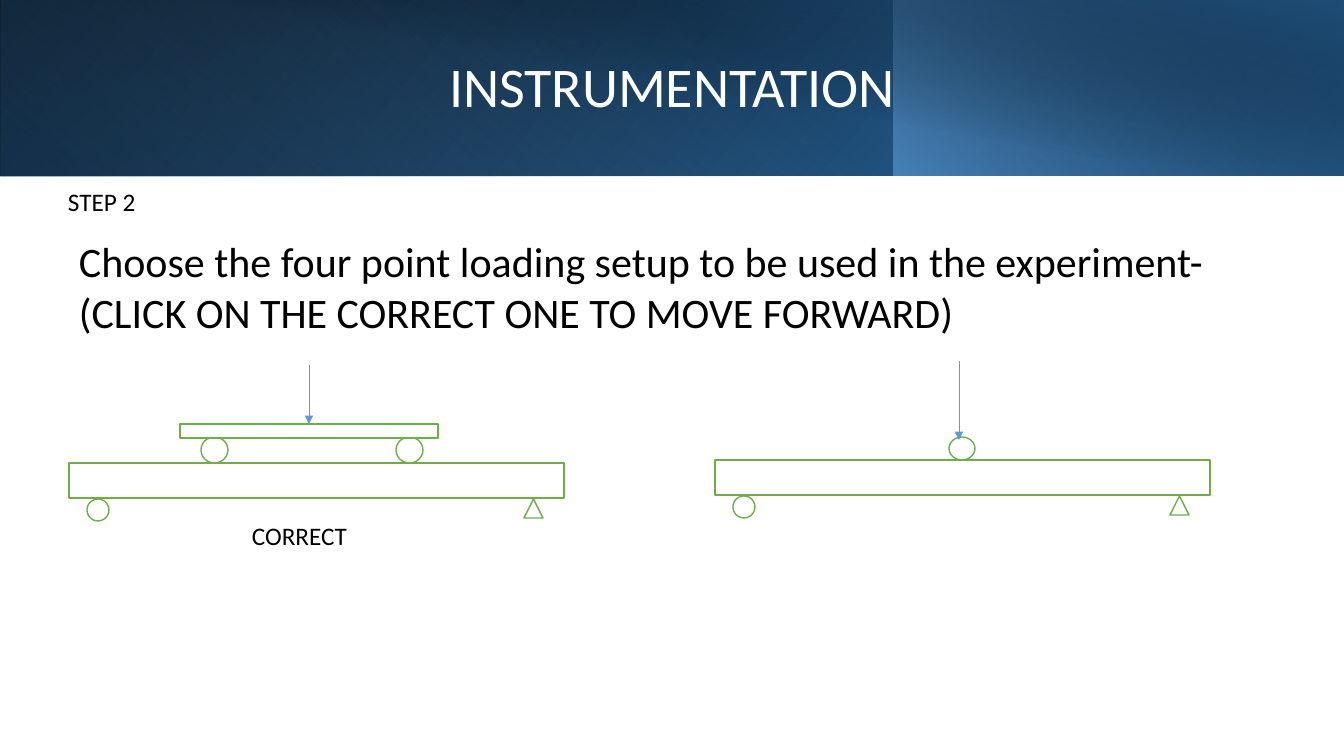
from lxml import etree
from pptx import Presentation
from pptx import util as u
from pptx.dml.color import RGBColor
from pptx.enum import shapes, text
from pptx.oxml import ns

PX = 914400 / 100.8
WIDTH, HEIGHT = 1344, 756
FONT = "Calibri"


def px(*lengths):
    return [u.Emu(round(length * PX)) for length in lengths]


def colour(code):
    return RGBColor.from_string(code)


def add_element(parent, tag, **attributes):
    values = {key: str(value) for key, value in attributes.items()}
    return etree.SubElement(parent, ns.qn(tag), values)


def add_panel(slide, box, stops, angle, flip=True, rotation=0):
    panel = slide.shapes.add_shape(shapes.MSO_SHAPE.RECTANGLE, *px(*box))
    panel.shadow.inherit = False
    panel.line.fill.background()
    panel.rotation = rotation
    if flip:
        panel._element.spPr.find(ns.qn("a:xfrm")).set("flipH", "1")
    panel.fill.gradient()
    gradient = panel._element.spPr.find(ns.qn("a:gradFill"))
    for child in list(gradient):
        gradient.remove(child)
    stop_list = add_element(gradient, "a:gsLst")
    for position, code, opacity in stops:
        stop = add_element(stop_list, "a:gs", pos=position * 1000)
        shade = add_element(stop, "a:srgbClr", val=code)
        if opacity < 100:
            add_element(shade, "a:alpha", val=opacity * 1000)
    add_element(gradient, "a:lin", ang=angle * 60000, scaled=0)


def format_paragraph(paragraph, size, code):
    paragraph.font.name = FONT
    paragraph.font.size = u.Pt(size)
    paragraph.font.color.rgb = colour(code)


def add_header(slide, left, top, width, height):
    split = 894
    add_panel(slide, (left, top, width, height),
              [(0, "000000", 100), (100, "2E75B6", 100)], 140)
    add_panel(slide, (left, top, split, height),
              [(20, "5B9BD5", 0), (100, "1F4E79", 55)], 230, rotation=180)
    add_panel(slide, (left + split, top, width - split, height),
              [(0, "5B9BD5", 66), (100, "000000", 30)], 220)
    add_panel(slide, (left + 50, top, width - 50, height),
              [(50, "000000", 0), (99, "1F4E79", 52)], 280, flip=False)

    title = slide.shapes.title
    title.left, title.top, title.width, title.height = px(left, top + 32, width, 114)
    slide.shapes._spTree.append(title._element)
    title.text_frame.text = "INSTRUMENTATION"
    title.text_frame.vertical_anchor = text.MSO_ANCHOR.MIDDLE
    heading = title.text_frame.paragraphs[0]
    heading.alignment = text.PP_ALIGN.CENTER
    heading.line_spacing = 0.9
    format_paragraph(heading, 40, "FFFFFF")


def add_label(slide, box, words, size, wrap=True):
    frame = slide.shapes.add_textbox(*px(*box)).text_frame
    frame.word_wrap = wrap
    frame.auto_size = text.MSO_AUTO_SIZE.SHAPE_TO_FIT_TEXT
    frame.text = words
    format_paragraph(frame.paragraphs[0], size, "000000")


def add_part(slide, preset, *box):
    part = slide.shapes.add_shape(preset, *px(*box))
    part.shadow.inherit = False
    part.fill.solid()
    part.fill.fore_color.rgb = colour("FFFFFF")
    part.line.color.rgb = colour("70AD47")
    part.line.width = u.Pt(1)
    return part


def add_load(slide, x, top, bottom):
    load = slide.shapes.add_connector(shapes.MSO_CONNECTOR.STRAIGHT,
                                      *px(x, top, x, bottom))
    load.line.color.rgb = colour("5B9BD5")
    load.line.width = u.Pt(0.5)
    add_element(load.line._get_or_add_ln(), "a:tailEnd", type="triangle")
    add_element(load._element.spPr, "a:effectLst")
    return load


def add_beam(slide, left, top, width, height):
    support_top = top + height + 1
    add_part(slide, shapes.MSO_SHAPE.RECTANGLE, left, top, width, height)
    add_part(slide, shapes.MSO_SHAPE.OVAL, left + 18, support_top, 22, 22)
    add_part(slide, shapes.MSO_SHAPE.ISOSCELES_TRIANGLE,
             left + width - 40, support_top, 19, 19)


def add_four_point_setup(slide, left, top, width, height):
    add_beam(slide, left, top, width, height)
    add_label(slide, (left + 173, top + 52, 116, 40), "CORRECT", 18, wrap=False)
    for offset in (132, 327):
        add_part(slide, shapes.MSO_SHAPE.OVAL, left + offset, top - 26, 27, 26)
    spreader = add_part(slide, shapes.MSO_SHAPE.RECTANGLE,
                        left + 111, top - 39, 258, 14)
    load = add_load(slide, left + 240, top - 98, top - 39)
    load.end_connect(spreader, 0)


def add_three_point_setup(slide, left, top, width, height):
    add_beam(slide, left, top, width, height)
    add_part(slide, shapes.MSO_SHAPE.OVAL, left + 234, top - 23, 26, 23)
    add_load(slide, left + 244, top - 99, top - 20)


def main():
    deck = Presentation()
    deck.slide_width, deck.slide_height = px(WIDTH, HEIGHT)
    slide = deck.slides.add_slide(deck.slide_layouts.get_by_name("Title Only"))
    add_header(slide, 0, 0, WIDTH, 176)
    add_label(slide, (69, 231, 1207, 112),
              "Choose the four point loading setup to be used in the experiment- "
              "(CLICK ON THE CORRECT ONE TO MOVE FORWARD)", 30)
    add_four_point_setup(slide, 69, 463, 495, 35)
    add_three_point_setup(slide, 715, 460, 495, 35)
    add_label(slide, (58, 181, 185, 40), "STEP 2", 18)
    deck.save("out.pptx")


if __name__ == "__main__":
    main()
